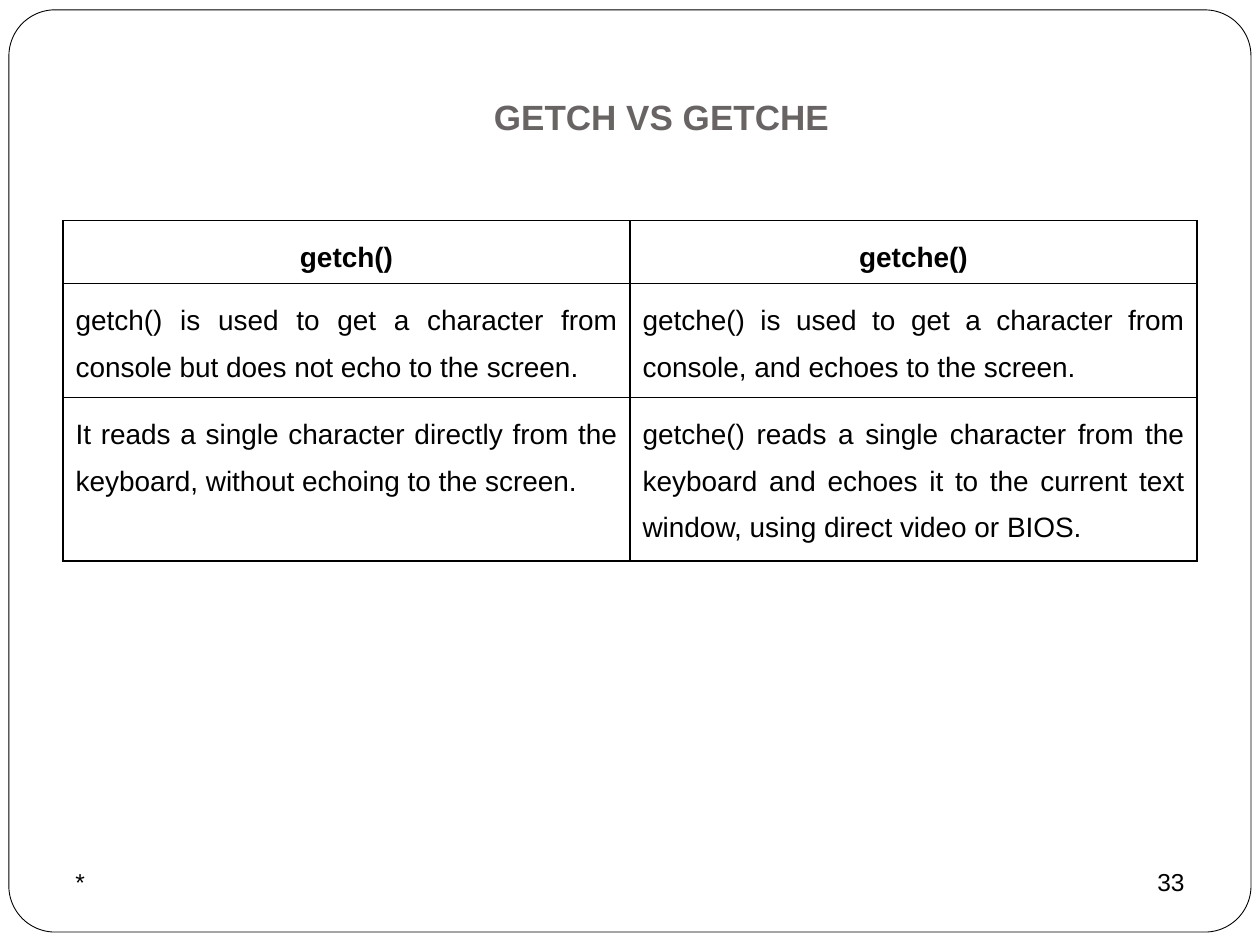
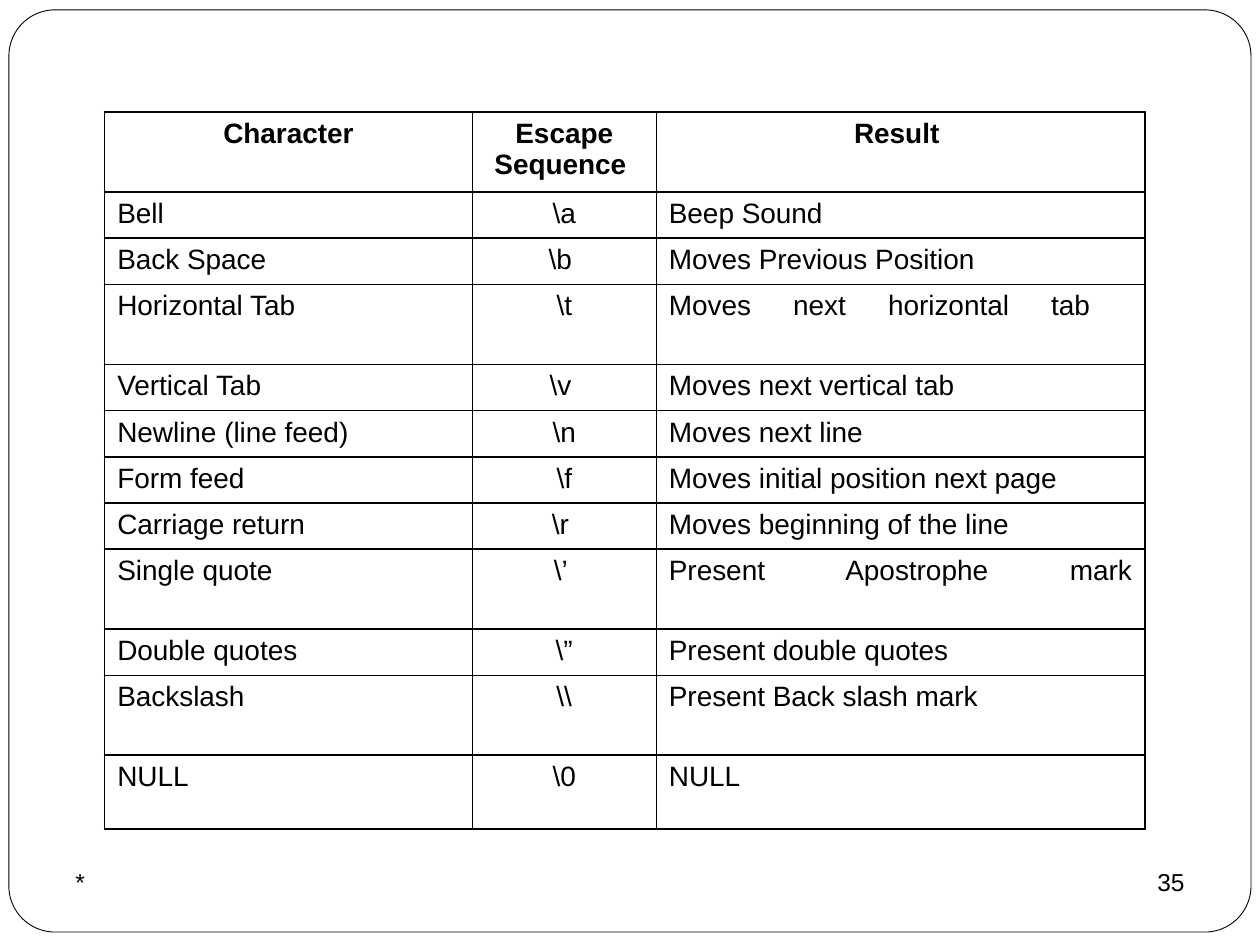
from lxml import etree
from pptx import Presentation
from pptx.dml.color import RGBColor
from pptx.enum import shapes, text
from pptx.oxml import ns
from pptx import util as u

INK = "000000"
PAPER = "FFFFFF"
TITLE_GREY = "696464"
CENTER = text.PP_ALIGN.CENTER
JUSTIFY = text.PP_ALIGN.JUSTIFY

GETCH_ROWS = [
    ("getch()", "getche()"),
    ("getch() is used to get a character from console but does not echo to the screen. ",
     "getche() is used to get a character from console, and echoes to the screen. "),
    ("It reads a single character directly from the keyboard, without echoing to the screen. ",
     "getche() reads a single character from the keyboard and echoes it to the current text "
     "window, using direct video or BIOS. "),
]

ESCAPE_ROWS = [
    ("Character", "Escape Sequence ", "Result "),
    ("Bell", r"\a", "Beep Sound "),
    ("Back Space", r"\b ", "Moves Previous Position "),
    ("Horizontal Tab ", r"\t", "Moves next horizontal tab \n"),
    ("Vertical Tab ", r"\v ", "Moves next vertical tab "),
    ("Newline (line feed) ", r"\n", "Moves next line "),
    ("Form feed ", r"\f", "Moves initial position next page "),
    ("Carriage return ", r"\r ", "Moves beginning of the line "),
    ("Single quote", r"\’ ", "Present Apostrophe mark\n"),
    ("Double quotes", r"\”", "Present double quotes"),
    ("Backslash", r" \\ ", "Present Back slash mark "),
    ("NULL", r"\0", "NULL"),
]


def rgb(value):
    """Turn a hex string into a colour."""
    return RGBColor.from_string(value)


class Deck:
    """Holds the shared style and the slide being built."""

    font = "Arial"

    def __init__(self):
        """Start an empty 4:3 presentation."""
        self.presentation = Presentation()
        self.presentation.slide_width = u.Cm(25.4)
        self.presentation.slide_height = u.Cm(19.05)
        self.slide = None

    def new_slide(self, number, title=None):
        """Add a slide with its frame, footer and optional title."""
        layout = self.presentation.slide_layouts[5 if title else 6]
        self.slide = self.presentation.slides.add_slide(layout)
        self.frame()
        if title:
            self.title(title)
        self.footer(1.27, "*", text.PP_ALIGN.LEFT)
        self.footer(18.21, str(number), text.PP_ALIGN.RIGHT)

    def frame(self):
        """Draw the rounded page frame behind everything else."""
        shape = self.slide.shapes.add_shape(
            shapes.MSO_SHAPE.ROUNDED_RECTANGLE,
            u.Cm(0.18), u.Cm(0.2), u.Cm(25.04), u.Cm(18.59))
        shape.adjustments[0] = 0.05
        shape.shadow.inherit = False
        shape.fill.solid()
        shape.fill.fore_color.rgb = rgb(PAPER)
        shape.line.color.rgb = rgb(INK)
        shape.line.width = u.Pt(0.5)
        tree = self.slide.shapes._spTree
        tree.remove(shape._element)
        tree.insert(2, shape._element)

    def add_text(self, paragraph, content, size, align, bold=False, color=INK):
        """Add runs to a paragraph, with a line break at each newline."""
        paragraph.alignment = align
        paragraph.font.size = u.Pt(size)
        for index, line in enumerate(content.split("\n")):
            if index:
                paragraph.add_line_break()
            if line:
                run = paragraph.add_run()
                run.text = line
                run.font.name = self.font
                run.font.size = u.Pt(size)
                run.font.bold = bold
                run.font.color.rgb = rgb(color)

    def title(self, content):
        """Place and fill the title placeholder."""
        shape = self.slide.shapes.title
        shape.left, shape.top = u.Cm(2.54), u.Cm(0.76)
        shape.width, shape.height = u.Cm(21.59), u.Cm(3.18)
        shape.text_frame.vertical_anchor = text.MSO_ANCHOR.MIDDLE
        self.add_text(shape.text_frame.paragraphs[0], content, 20, CENTER, True, TITLE_GREY)

    def footer(self, left, content, align):
        """Add one footer text."""
        shape = self.slide.shapes.add_textbox(u.Cm(left), u.Cm(17.35), u.Cm(5.92), u.Cm(1.32))
        shape.text_frame.word_wrap = True
        self.add_text(shape.text_frame.paragraphs[0], content, 14, align)

    def borders(self, cell):
        """Draw a thin line on each side of a cell."""
        properties = cell._tc.get_or_add_tcPr()
        for index, side in enumerate(("a:lnL", "a:lnR", "a:lnT", "a:lnB")):
            line = etree.Element(ns.qn(side), w=str(int(u.Pt(1))))
            fill = etree.SubElement(line, ns.qn("a:solidFill"))
            etree.SubElement(fill, ns.qn("a:srgbClr"), val=INK)
            properties.insert(index, line)

    def table(self, left, top, widths, heights, rows, aligns, spacing=None):
        """Add a ruled table with a bold, centred first row."""
        table = self.slide.shapes.add_table(
            len(rows), len(widths), u.Cm(left), u.Cm(top),
            u.Cm(sum(widths)), u.Cm(sum(heights))).table
        table.first_row = table.horz_banding = False
        for column, width in zip(table.columns, widths):
            column.width = u.Cm(width)
        for row_index, (row, height, contents) in enumerate(zip(table.rows, heights, rows)):
            row.height = u.Cm(height)
            header = row_index == 0
            for cell, content, align in zip(row.cells, contents, aligns):
                cell.fill.background()
                self.borders(cell)
                paragraph = cell.text_frame.paragraphs[0]
                self.add_text(paragraph, content, 16, CENTER if header else align, header)
                paragraph.line_spacing = spacing


def main():
    """Build both slides and save them."""
    deck = Deck()

    deck.new_slide(33, "GETCH VS GETCHE")
    deck.table(1.27, 4.45, [11.43] * 2, [1.27, 2.29, 3.3], GETCH_ROWS, [JUSTIFY] * 2, 1.5)

    deck.new_slide(35)
    tall, low = 1.61, 0.93
    heights = [tall if index in (0, 3, 8, 10) else low for index in range(len(ESCAPE_ROWS))]
    heights[-1] = 1.49
    deck.table(2.11, 2.26, [7.41, 3.71, 9.85], heights, ESCAPE_ROWS, [JUSTIFY, CENTER, JUSTIFY])

    deck.presentation.save("out.pptx")


if __name__ == "__main__":
    main()
